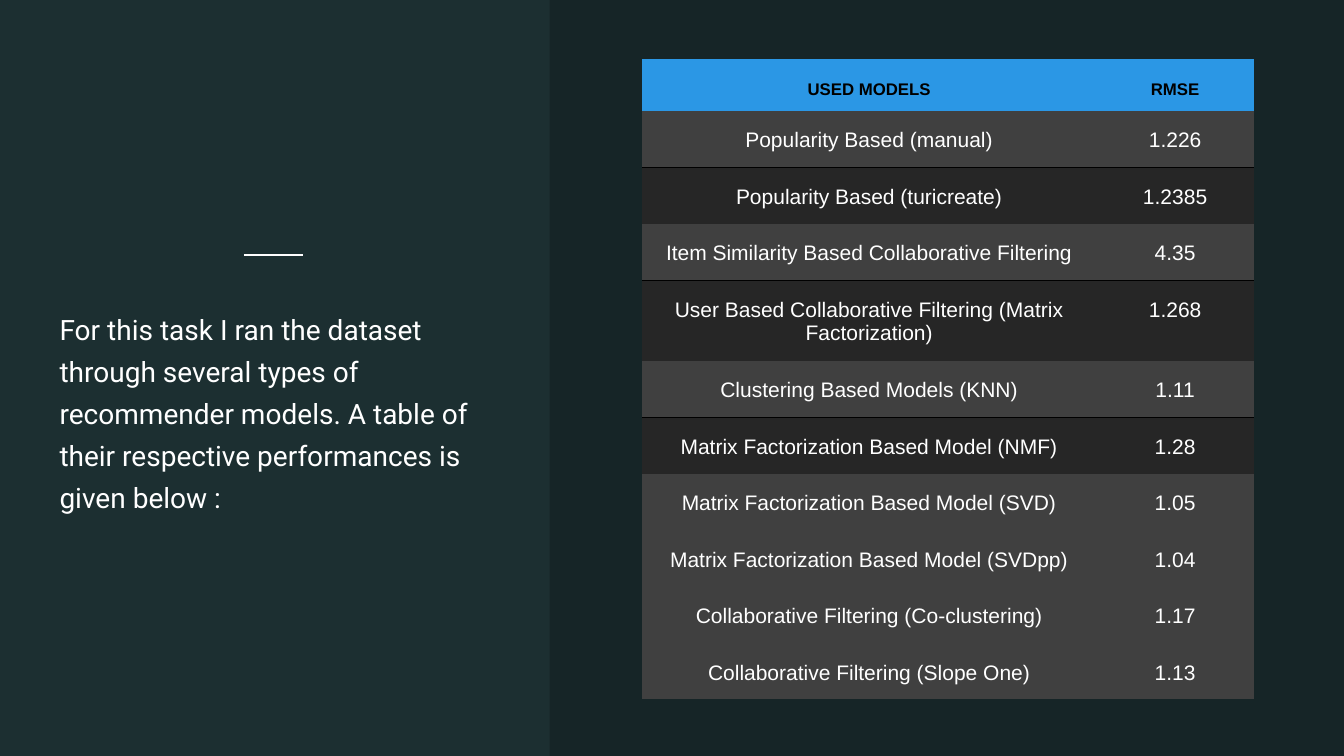
from dataclasses import dataclass

from lxml import etree
from pptx import Presentation
from pptx.dml.color import RGBColor
from pptx.enum.shapes import MSO_CONNECTOR, MSO_SHAPE
from pptx.enum.text import MSO_ANCHOR, PP_ALIGN
from pptx.oxml.ns import qn
from pptx.util import Inches, Pt

STRAIGHT = MSO_CONNECTOR.STRAIGHT
RECTANGLE = MSO_SHAPE.RECTANGLE
MIDDLE, TOP = MSO_ANCHOR.MIDDLE, MSO_ANCHOR.TOP
CENTER = PP_ALIGN.CENTER


@dataclass(frozen=True)
class Theme:
    """Colours, fonts and type sizes of the slide."""
    background: str = "1C2F31"
    white: str = "FFFFFF"
    black: str = "000000"
    header: str = "2B97E5"
    light_row: str = "404040"
    dark_row: str = "262626"
    intro_font: str = "Roboto"
    table_font: str = "Arial"
    intro_size: int = 20
    header_size: int = 12
    body_size: int = 15
    line_width: int = 1
    panel_opacity: int = 20


THEME = Theme()
INTRO = ("For this task I ran the dataset through several types of recommender models. "
         "A table of their respective performances is given below :")
HEADER = ("USED MODELS", "RMSE")
RESULTS = [
    ("Popularity Based (manual)", "1.226"),
    ("Popularity Based (turicreate)", "1.2385"),
    ("Item Similarity Based Collaborative Filtering", "4.35"),
    ("User Based Collaborative Filtering (Matrix Factorization)", "1.268"),
    ("Clustering Based Models (KNN)", "1.11"),
    ("Matrix Factorization Based Model (NMF)", "1.28"),
    ("Matrix Factorization Based Model (SVD)", "1.05"),
    ("Matrix Factorization Based Model (SVDpp)", "1.04"),
    ("Collaborative Filtering (Co-clustering)", "1.17"),
    ("Collaborative Filtering (Slope One)", "1.13"),
]
COLUMN_WIDTHS = (4.5, 1.57)
HEADER_HEIGHT, ROW_HEIGHT, WRAPPED_HEIGHT = 0.51, 0.56, 0.8
WRAPPED_ROW = 4
LAST_PAIRED_ROW = 6


def paint(fill, color):
    """Give a fill one solid colour."""
    fill.solid()
    fill.fore_color.rgb = RGBColor.from_string(color)


def style_font(font, name, size, color, bold=False):
    """Set the typeface, size, colour and weight of a font."""
    font.name, font.size, font.bold = name, Pt(size), bold
    font.color.rgb = RGBColor.from_string(color)


def add_accent_line(slide, left, right, y):
    """Draw the short rule above the introduction."""
    accent = slide.shapes.add_connector(STRAIGHT, Inches(left), Inches(y), Inches(right), Inches(y))
    accent.line.width = Pt(THEME.line_width)
    paint(accent.line.fill, THEME.white)
    etree.SubElement(accent._element.spPr, qn("a:effectLst"))


def add_intro(slide, left, top, width, height):
    """Place the introductory paragraph."""
    frame = slide.shapes.add_textbox(Inches(left), Inches(top), Inches(width), Inches(height)).text_frame
    frame.word_wrap = True
    frame.margin_left = frame.margin_right = frame.margin_top = frame.margin_bottom = 0
    paragraph = frame.paragraphs[0]
    paragraph.text = INTRO
    paragraph.line_spacing = 1.25
    style_font(paragraph.font, THEME.intro_font, THEME.intro_size, THEME.white)


def add_shaded_panel(slide, left, width, height):
    """Darken the side of the slide that holds the table."""
    panel = slide.shapes.add_shape(RECTANGLE, Inches(left), 0, Inches(width), Inches(height))
    panel.shadow.inherit = False
    panel.line.fill.background()
    paint(panel.fill, THEME.black)
    color = panel._element.spPr.find(".//" + qn("a:srgbClr"))
    etree.SubElement(color, qn("a:alpha"), val=str(THEME.panel_opacity * 1000))


def set_borders(cell, ruled_edge):
    """Rule one edge of a cell in black and clear the others."""
    properties = cell._tc.get_or_add_tcPr()
    for position, edge in enumerate(("lnL", "lnR", "lnT", "lnB")):
        border = etree.Element(qn("a:" + edge))
        properties.insert(position, border)
        if edge == ruled_edge:
            border.set("w", str(Pt(THEME.line_width)))
            solid = etree.SubElement(border, qn("a:solidFill"))
            etree.SubElement(solid, qn("a:srgbClr"), val=THEME.black)
        else:
            etree.SubElement(border, qn("a:noFill"))


def row_look(row):
    """Return the fill and the ruled edge for a row number."""
    if row == 0:
        return THEME.header, None
    if row > LAST_PAIRED_ROW:
        return THEME.light_row, None
    return (THEME.light_row, "lnB") if row % 2 else (THEME.dark_row, "lnT")


def fill_cell(cell, text, row):
    """Write and format one table cell."""
    is_header = row == 0
    fill, ruled_edge = row_look(row)
    cell.margin_left = cell.margin_right = cell.margin_top = Inches(0.18)
    cell.margin_bottom = Inches(0.09)
    cell.vertical_anchor = MIDDLE if is_header else TOP
    paint(cell.fill, fill)
    set_borders(cell, ruled_edge)
    paragraph = cell.text_frame.paragraphs[0]
    paragraph.text = text
    paragraph.alignment = CENTER
    size, color = (THEME.header_size, THEME.black) if is_header else (THEME.body_size, THEME.white)
    style_font(paragraph.font, THEME.table_font, size, color, is_header)


def add_results_table(slide, left, top):
    """Build the table of models and their errors."""
    records = [HEADER, *RESULTS]
    heights = [HEADER_HEIGHT] + [ROW_HEIGHT] * len(RESULTS)
    heights[WRAPPED_ROW] = WRAPPED_HEIGHT
    table = slide.shapes.add_table(len(records), len(HEADER), Inches(left), Inches(top),
                                   Inches(sum(COLUMN_WIDTHS)), Inches(sum(heights))).table
    table.first_row = table.horz_banding = False
    for column, width in zip(table.columns, COLUMN_WIDTHS):
        column.width = Inches(width)
    for row, (record, height) in enumerate(zip(records, heights)):
        table.rows[row].height = Inches(height)
        for column, text in enumerate(record):
            fill_cell(table.cell(row, column), text, row)


def main():
    """Build and save the slide."""
    presentation = Presentation()
    presentation.slide_width, presentation.slide_height = Inches(13.33), Inches(7.5)
    slide = presentation.slides.add_slide(presentation.slide_layouts[6])
    paint(slide.background.fill, THEME.background)
    add_accent_line(slide, 2.42, 3.01, 2.53)
    add_intro(slide, 0.59, 3.02, 4.25, 3.29)
    add_shaded_panel(slide, 5.45, 7.88, 7.5)
    add_results_table(slide, 6.37, 0.59)
    presentation.save("out.pptx")


main()
